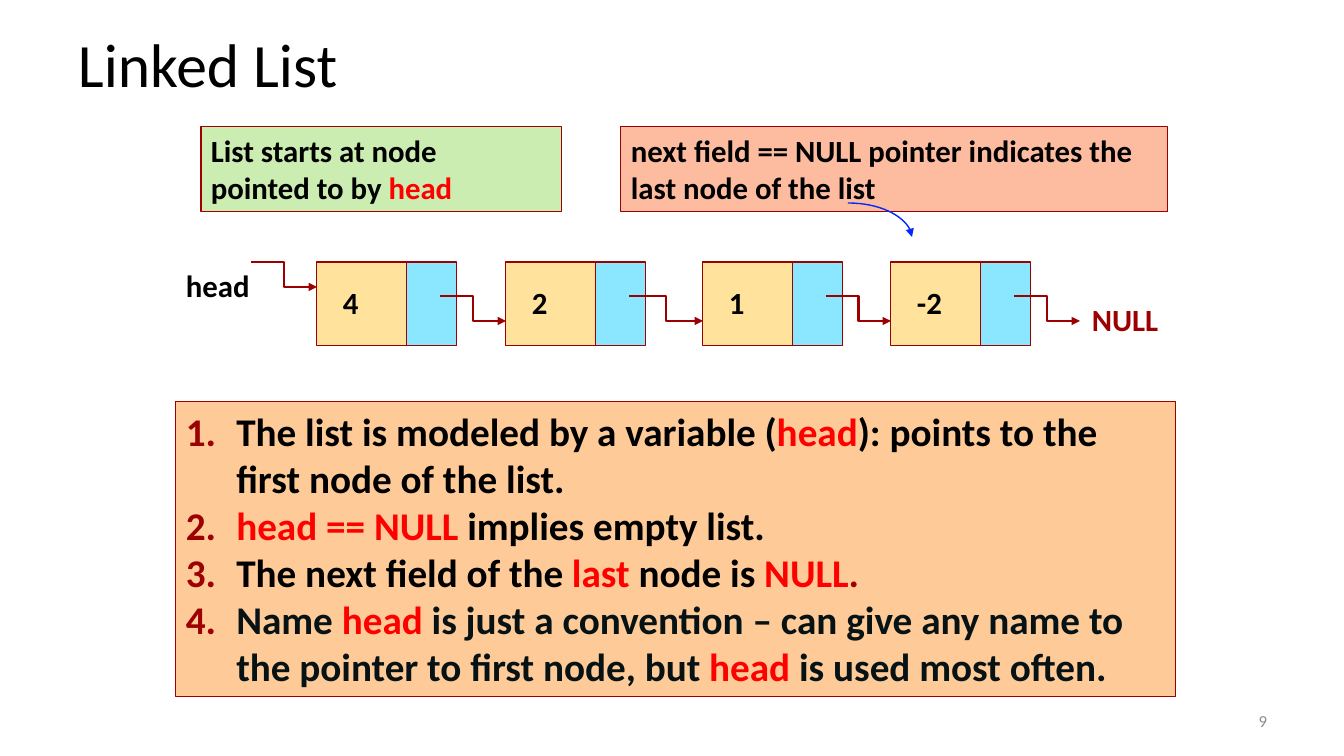
from itertools import pairwise

from lxml import etree
from pptx import Presentation
from pptx import util as u
from pptx.dml.color import RGBColor
from pptx.enum import shapes, text
from pptx.oxml.ns import qn

BLACK, RED, MAROON, INK = "000000", "FF0000", "9D0000", "071215"


def px(n):
    """Turn slide pixels into EMU."""
    return u.Emu(round(n * 914400 / 100.8))


def rgb(value):
    """Turn a hex string into a colour."""
    return RGBColor.from_string(value)


def write(tf, paragraphs, size, bold=True, align=text.PP_ALIGN.LEFT):
    """Fill a text frame with paragraphs given as lists of (words, colour)."""
    for i, runs in enumerate(paragraphs):
        p = tf.paragraphs[0] if i == 0 else tf.add_paragraph()
        p.alignment = align
        for words, color in runs:
            r = p.add_run()
            r.text = words
            r.font.name, r.font.size, r.font.bold = "Calibri", u.Pt(size), bold
            r.font.color.rgb = rgb(color)


def label(s, box, words, color=BLACK, size=22, bold=True, wrap=False,
          anchor=text.MSO_ANCHOR.TOP, align=text.PP_ALIGN.LEFT):
    """Add a one-line text box."""
    tf = s.shapes.add_textbox(*map(px, box)).text_frame
    tf.word_wrap, tf.vertical_anchor = wrap, anchor
    write(tf, [[(words, color)]], size, bold, align)


def panel(s, box, fill, paragraphs=(), size=22):
    """Add a filled rectangle with a thin maroon outline and return its text frame."""
    sp = s.shapes.add_shape(shapes.MSO_SHAPE.RECTANGLE, *map(px, box))
    sp.shadow.inherit = False
    sp.fill.solid()
    sp.fill.fore_color.rgb = rgb(fill)
    sp.line.color.rgb = rgb(MAROON)
    sp.line.width = u.Pt(0.74)
    tf = sp.text_frame
    tf.word_wrap, tf.vertical_anchor = True, text.MSO_ANCHOR.TOP
    write(tf, paragraphs, size)
    return tf


def arrow(s, start, end, color=MAROON, width=2, kind=shapes.MSO_CONNECTOR.ELBOW):
    """Add a connector with a triangle head and return it."""
    cx = s.shapes.add_connector(kind, *map(px, (*start, *end)))
    cx.line.color.rgb = rgb(color)
    cx.line.width = u.Pt(width)
    etree.SubElement(cx.line._get_or_add_ln(), qn("a:tailEnd"), type="triangle")
    etree.SubElement(cx._element.spPr, qn("a:effectLst"))
    return cx


def node(s, x, y, value, next_x):
    """Draw a list node and the arrow to whatever follows it."""
    panel(s, (x, y, 90, 84), "FFE39D")
    panel(s, (x + 90, y, 50, 84), "8BE6FF")
    label(s, (x + 16, y + 17, 25 + 10 * len(value), 47), value)
    arrow(s, (x + 123, y + 34), (next_x, y + 59))


def linked_list(s, x, y):
    """Draw the chain from head to NULL."""
    stops = [x + dx for dx in (141, 330, 527, 715, 904)]
    for value, (left, following) in zip(("4", "2", "1", "-2"), pairwise(stops)):
        node(s, left, y, value, following)
    label(s, (stops[-1] + 2, y + 34, 87, 47), "NULL", MAROON)
    label(s, (x, y, 85, 47), "head")
    arrow(s, (x + 75, y), (stops[0], y + 25))


def notes_row(s, x, y):
    """Draw the two captions above the chain and the pointer to the last node."""
    panel(s, (x + 420, y, 547, 85), "FDBC9F", [
        [("next field == NULL pointer indicates the last node of the list", BLACK)]])
    cx = arrow(s, (x + 647, y + 76), (x + 711, y + 110), "0029FF", 1,
               shapes.MSO_CONNECTOR.CURVE)
    cx._element.spPr.find(qn("a:prstGeom")).set("prst", "curvedConnector2")
    panel(s, (x, y, 361, 85), "CCEDB1", [
        [("List starts at node", BLACK)],
        [("pointed to by ", BLACK), ("head", RED)]])


def rules(s, box):
    """Draw the numbered list of rules."""
    tf = panel(s, box, "FECB98", [
        [("The list is modeled by a variable (", BLACK), ("head", RED),
         ("): points to the first node of the list. ", BLACK)],
        [("head == NULL ", RED), ("implies empty list.", BLACK)],
        [("The next field of the", BLACK), (" last ", RED), ("node is ", BLACK),
         ("NULL", RED), (". ", MAROON)],
        [("Name ", INK), ("head", RED),
         (" is just a convention – can give any name to the pointer to first node, but ", INK),
         ("head", RED), (" is used most often.", INK)]], 28)
    for p in tf.paragraphs:
        pPr = p._p.get_or_add_pPr()
        pPr.set("marL", str(u.Inches(0.5)))
        pPr.set("indent", str(-u.Inches(0.5)))
        bullet_color = etree.SubElement(pPr, qn("a:buClr"))
        etree.SubElement(bullet_color, qn("a:srgbClr"), val=MAROON)
        etree.SubElement(pPr, qn("a:buFont"), typeface="+mj-lt")
        etree.SubElement(pPr, qn("a:buAutoNum"), type="arabicPeriod")


def main():
    """Build the slide and save it."""
    prs = Presentation()
    prs.slide_width, prs.slide_height = px(1344), px(756)
    s = prs.slides.add_slide(prs.slide_layouts[6])
    middle = text.MSO_ANCHOR.MIDDLE
    label(s, (68, 21, 907, 84), "Linked List", size=44, bold=False, wrap=True, anchor=middle)
    linked_list(s, 176, 262)
    rules(s, (176, 402, 1000, 295))
    notes_row(s, 201, 127)
    label(s, (964, 701, 313, 40), "9", "8C8C8C", 12, False, True, middle, text.PP_ALIGN.RIGHT)
    prs.save("out.pptx")


main()
